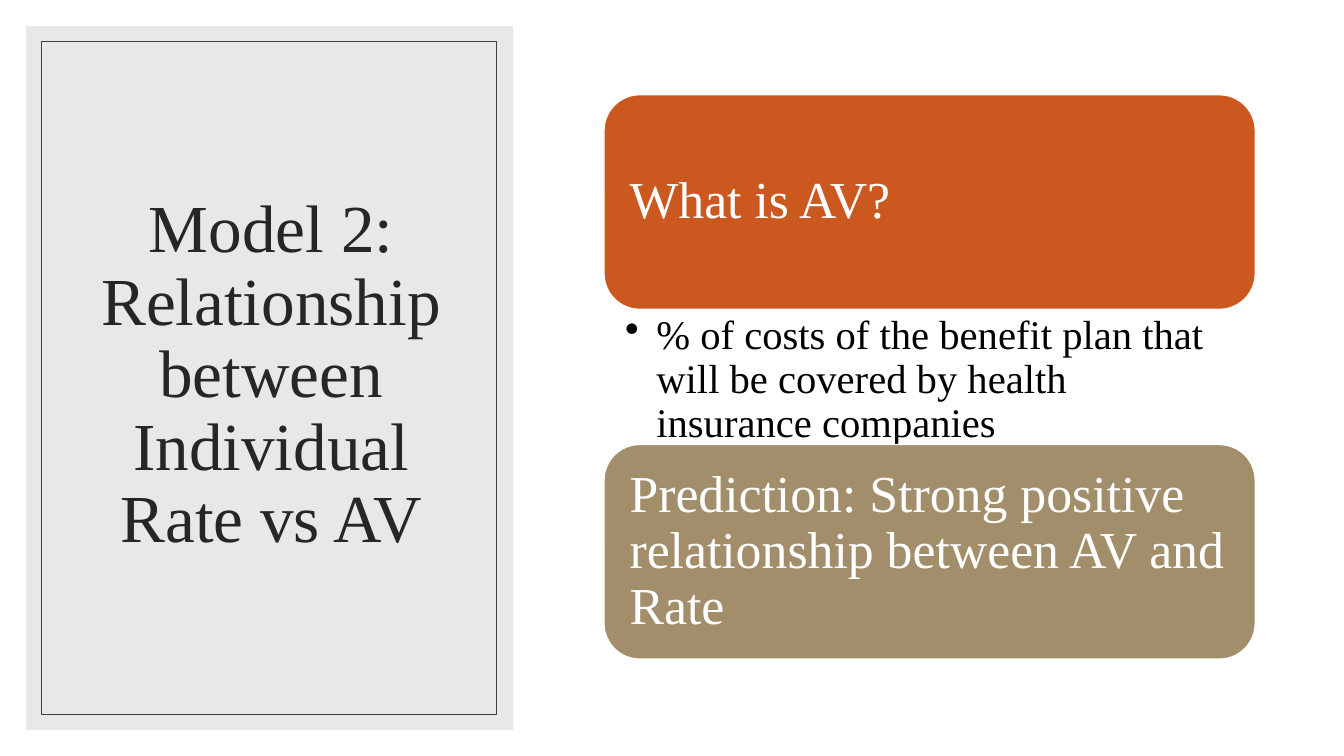
from dataclasses import dataclass
from typing import Optional

from lxml.etree import SubElement
from pptx import Presentation
from pptx.dml.color import RGBColor
from pptx.enum.shapes import MSO_SHAPE as Shape
from pptx.enum.text import MSO_ANCHOR as Anchor, PP_ALIGN as Align
from pptx.oxml.ns import qn
from pptx.util import Inches, Pt

SLIDE_WIDTH, SLIDE_HEIGHT = Inches(13.33), Inches(7.5)
FONT = "Times New Roman"
COLOURS = {
    "white": "FFFFFF", "black": "000000", "panel": "D9D9D9", "frame": "404040",
    "title": "262626", "orange": "CB581F", "tan": "A28E6A",
}


@dataclass
class Area:
    """A rectangle in percent of the slide's width and height."""
    left: float
    top: float
    width: float
    height: float

    def lengths(self) -> tuple[int, ...]:
        return (int(SLIDE_WIDTH * self.left / 100), int(SLIDE_HEIGHT * self.top / 100),
                int(SLIDE_WIDTH * self.width / 100), int(SLIDE_HEIGHT * self.height / 100))


@dataclass
class Block:
    area: Area
    kind: Shape = Shape.RECTANGLE
    fill: Optional[str] = None
    opacity: int = 100
    line: Optional[str] = None
    line_width: float = 1


@dataclass
class Wording:
    text: str
    size: float
    colour: str
    align: Align = Align.LEFT
    anchor: Anchor = Anchor.MIDDLE
    margins: tuple[float, float, float, float] = (10.8, 10.8, 10.8, 10.8)
    bullet: Optional[str] = None


def colour(name: str) -> RGBColor:
    return RGBColor.from_string(COLOURS[name])


def set_all(target, values: dict) -> None:
    for name, value in values.items():
        setattr(target, name, value)


def draw_block(page, block: Block):
    shape = page.shapes.add_shape(block.kind, *block.area.lengths())
    shape.shadow.inherit = False
    if block.fill:
        shape.fill.solid()
        shape.fill.fore_color.rgb = colour(block.fill)
        if block.opacity < 100:
            tint = shape.fill._xPr.find(qn("a:solidFill"))[0]
            SubElement(tint, qn("a:alpha"), val=str(block.opacity * 1000))
    else:
        shape.fill.background()
    if block.line:
        shape.line.color.rgb = colour(block.line)
        shape.line.width = Pt(block.line_width)
    else:
        shape.line.fill.background()
    return shape


def write(box, wording: Wording) -> None:
    frame = box.text_frame
    left, top, right, bottom = map(Pt, wording.margins)
    set_all(frame, {"word_wrap": True, "vertical_anchor": wording.anchor,
                    "margin_left": left, "margin_top": top,
                    "margin_right": right, "margin_bottom": bottom})
    para = frame.paragraphs[0]
    set_all(para, {"alignment": wording.align, "line_spacing": 0.9})
    if wording.bullet:
        properties = para._p.get_or_add_pPr()
        indent = Inches(0.31)
        properties.set("marL", str(indent))
        properties.set("indent", str(-indent))
        SubElement(properties, qn("a:buChar"), char=wording.bullet)
    span = para.add_run()
    span.text = wording.text
    set_all(span.font, {"name": FONT, "size": Pt(wording.size)})
    span.font.color.rgb = colour(wording.colour)


def main() -> None:
    deck = Presentation()
    set_all(deck, {"slide_width": SLIDE_WIDTH, "slide_height": SLIDE_HEIGHT})
    page = deck.slides.add_slide(deck.slide_layouts[6])

    # Backdrop and title panel
    draw_block(page, Block(Area(0, 0, 100, 100), fill="white"))
    draw_block(page, Block(Area(1.95, 3.47, 36.23, 93.07), fill="panel", opacity=60))
    title = page.shapes.add_textbox(*Area(4.73, 8.13, 30.91, 83.2).lengths())
    write(title, Wording("Model 2: Relationship between Individual Rate vs AV", 48, "title",
                         align=Align.CENTER, margins=(7.2, 3.6, 7.2, 3.6)))
    draw_block(page, Block(Area(3.08, 5.47, 33.83, 89.07), line="frame", line_width=0.5))

    # Two cards, stacked with the explanation between them
    left, width, first_top = 44.94, 48.46, 12.53
    card_height, detail_height = 28.4, 17.87
    cards = [("What is AV?", "orange"),
             ("Prediction: Strong positive relationship between AV and Rate", "tan")]
    detail = page.shapes.add_textbox(
        *Area(left, first_top + card_height, width, detail_height).lengths())
    write(detail, Wording(
        "% of costs of the benefit plan that will be covered by health insurance companies",
        29, "black", anchor=Anchor.TOP, margins=(15.12, 3.6, 20.88, 3.6), bullet="•"))
    for row, (text, fill) in enumerate(cards):
        top = first_top + row * (card_height + detail_height)
        card = draw_block(page, Block(Area(left, top, width, card_height),
                                      Shape.ROUNDED_RECTANGLE, fill, line="white"))
        write(card, Wording(text, 37, "white"))

    deck.save("out.pptx")


if __name__ == "__main__":
    main()
